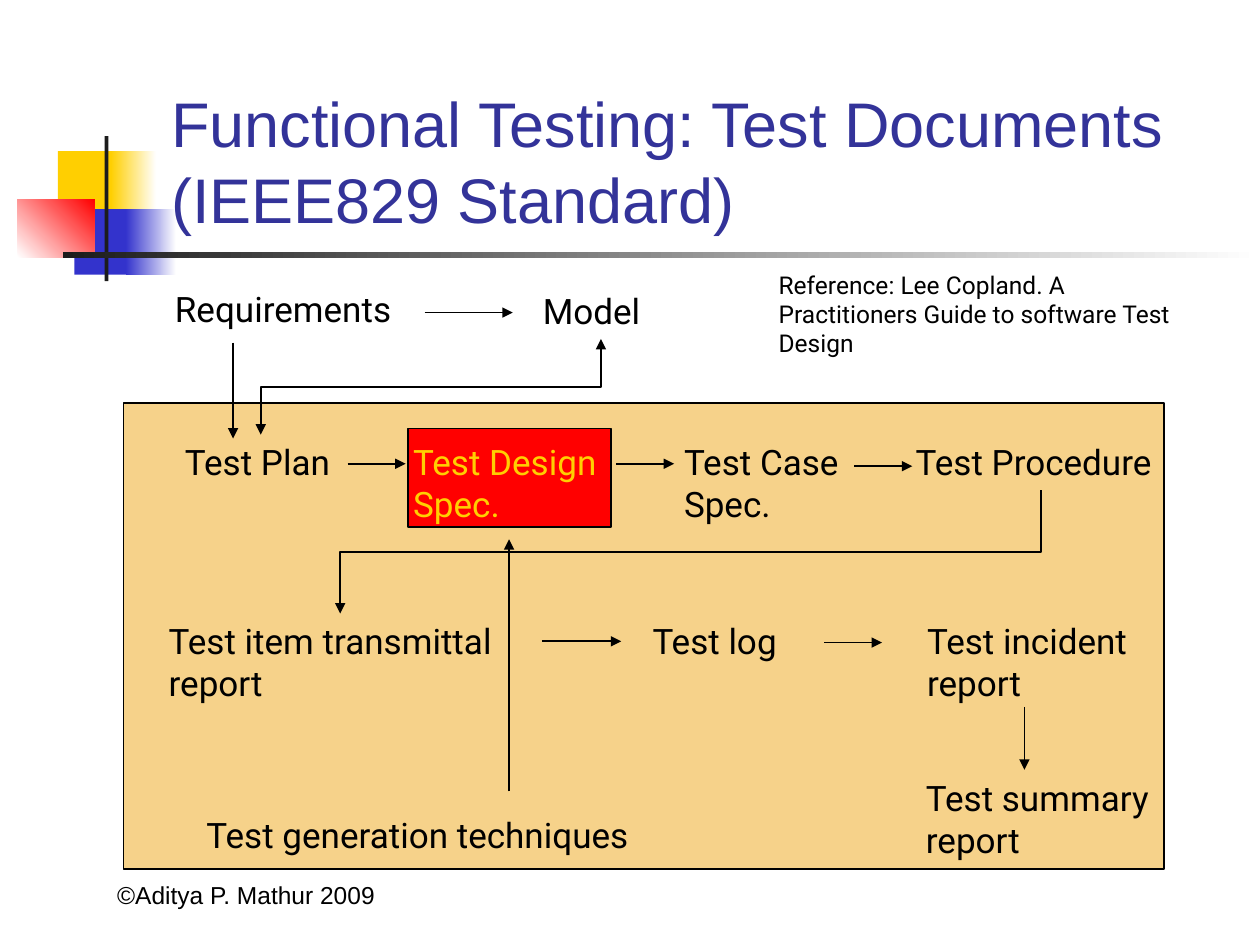
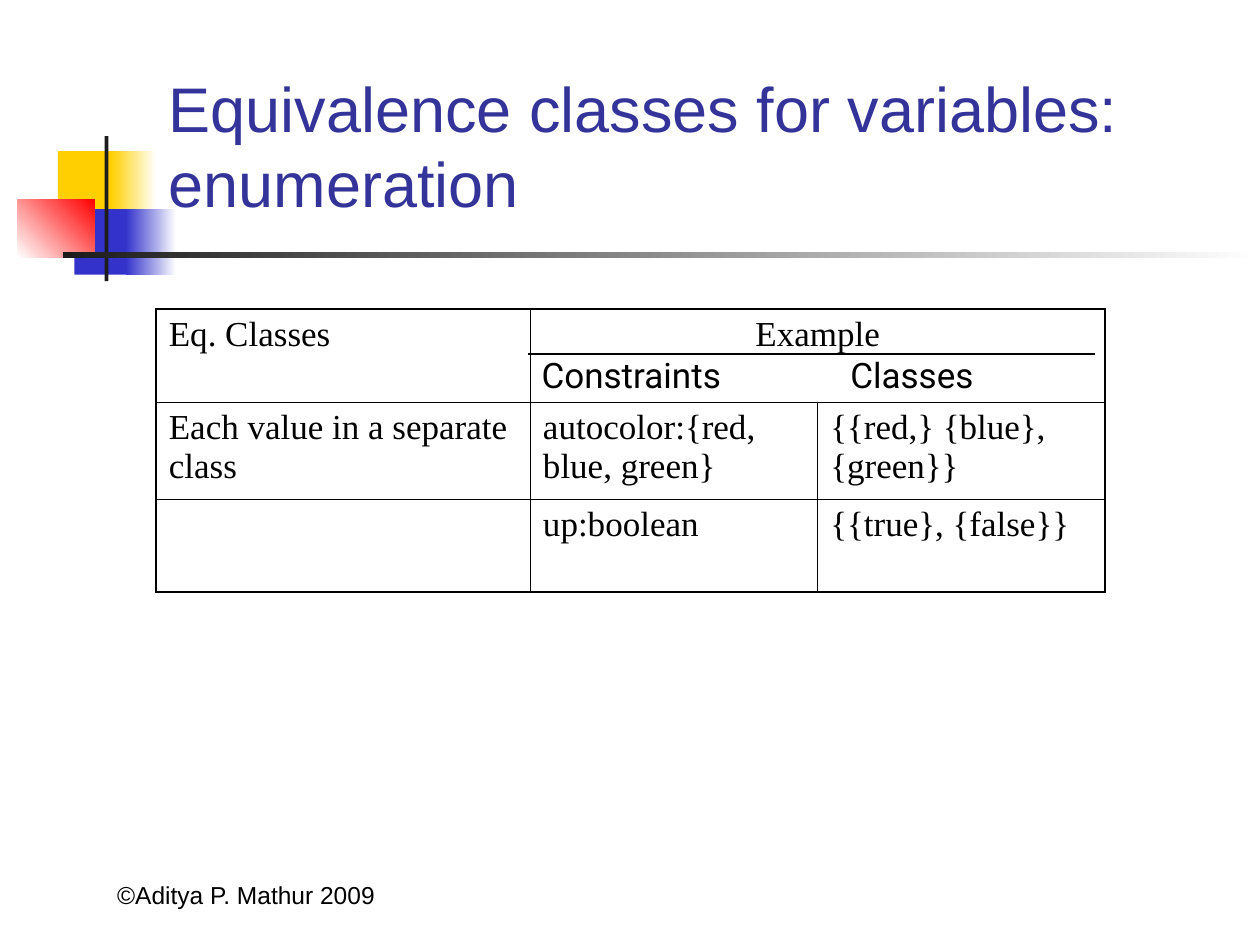
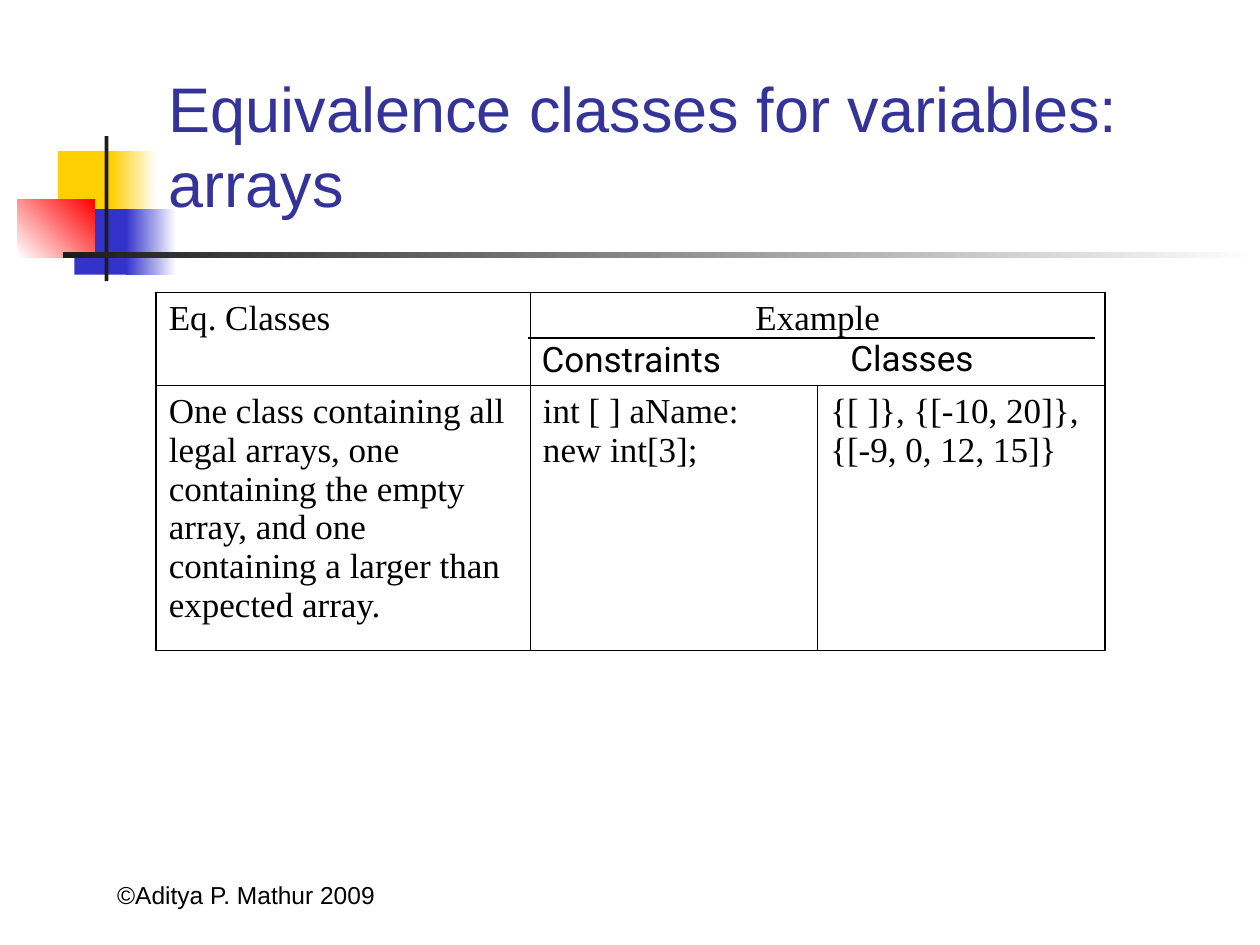
"""Builds three slides on functional test documents and equivalence classes."""
from lxml import etree
from pptx import Presentation
from pptx.dml.color import RGBColor
from pptx.enum.shapes import MSO_CONNECTOR, MSO_SHAPE
from pptx.enum.text import MSO_ANCHOR, MSO_AUTO_SIZE, PP_ALIGN
from pptx.oxml.ns import qn
from pptx.util import Pt

RECT = MSO_SHAPE.RECTANGLE
LINE, ELBOW = MSO_CONNECTOR.STRAIGHT, MSO_CONNECTOR.ELBOW
TOP, BOTTOM = MSO_ANCHOR.TOP, MSO_ANCHOR.BOTTOM
LEFT, CENTER = PP_ALIGN.LEFT, PP_ALIGN.CENTER
GROW, FIXED = MSO_AUTO_SIZE.SHAPE_TO_FIT_TEXT, MSO_AUTO_SIZE.NONE

BLACK = RGBColor(0, 0, 0)
WHITE = RGBColor(255, 255, 255)
YELLOW = RGBColor(0xFF, 0xCF, 0x01)
BLUE = RGBColor(0x33, 0x33, 0xCC)
NAVY = RGBColor(0x33, 0x33, 0x99)
RED = RGBColor(255, 0, 0)
DARK = RGBColor(0x1C, 0x1C, 0x1C)
SAND = RGBColor(0xEF, 0xA7, 0x17)

HEAD = {"name": "Arial", "size": Pt(36)}
FOOT = {"name": "Arial", "size": Pt(14)}
BODY = {"name": "Roboto", "size": Pt(20)}
NOTE = {"name": "Roboto", "size": Pt(14)}
CELL = {"name": "Times New Roman", "size": Pt(20)}

FOOTER = "©Aditya P. Mathur 2009"
DECOR = [
    ((33.1, 86.4, 34.6, 37.4), (YELLOW,), 0),
    ((63.4, 86.4, 25.9, 37.4), (YELLOW, WHITE), 0),
    ((42.5, 119.5, 33.1, 37.4), (BLUE,), 0),
    ((72, 119.5, 28.8, 37.4), (BLUE, WHITE), 0),
    ((10.1, 113.8, 43.9, 33.1), (WHITE, RED), 45),
    ((59.8, 77.8, 2.2, 82.8), (DARK,), 0),
    ((36, 144, 684, 3.6), (DARK, WHITE), 0),
]

FLOW_TITLE = "Functional Testing: Test Documents (IEEE829 Standard)"
SOURCE = "Reference: Lee Copland. A Practitioners Guide to software Test Design"
PANEL = (70.6, 230.4, 594.7, 266.4)
FOCUS = (233.3, 244.8, 115.9, 56.2)
STEPS = [
    ("Requirements", 92.9, 160.6, 146.9),
    ("Model", 303.1, 162, 81.4),
    ("Test Plan", 98.6, 248.4, 99.4),
    ("Test Design\nSpec.", 229, 248.4, 123.8),
    ("Test Case\nSpec.", 383.8, 248.4, 103.7),
    ("Test Procedure", 516.2, 248.4, 156.2),
    ("Test item transmittal\nreport", 89.3, 350.6, 210.2),
    ("Test log", 365.8, 350.6, 88.6),
    ("Test incident\nreport", 522.7, 350.6, 134.6),
    ("Test summary\nreport", 522, 439.9, 147.6),
    ("Test generation techniques", 110.9, 461.5, 271.4),
]
ARROWS = [
    (242.6, 178.6, 293, 178.6),
    (133.2, 195.8, 133.2, 250.6),
    (198.7, 265, 231.8, 265),
    (352.1, 265, 385.2, 265),
    (488.2, 266.4, 521.3, 266.4),
    (309.6, 366.5, 355, 366.5),
    (470.9, 367.2, 504, 367.2),
    (585.4, 403.9, 585.4, 439.9),
    (290.9, 452.2, 290.9, 308.2),
]
BENDS = [
    ((343.4, 193.7, 149, 248.4), ("headEnd", "tailEnd")),
    ((594.7, 280.1, 194.4, 350.6), ("tailEnd",)),
]

COLS = (213.8, 164.2, 164.2)
HEADER = ["Eq. Classes", "Example", ""]
GRIDS = [
    {
        "title": "Equivalence classes for variables: enumeration",
        "top": 176.4,
        "highs": (53.3, 55.4, 53.3),
        "rows": [
            ["Each value in a separate class", "autocolor:{red, blue, green}",
             "{{red,} {blue}, {green}}"],
            ["", "up:boolean", "{{true}, {false}}"],
        ],
    },
    {
        "title": "Equivalence classes for variables: arrays",
        "top": 167.2,
        "highs": (53.3, 151.2),
        "rows": [
            ["One class containing all legal arrays, one containing the empty "
             "array, and one containing a larger than expected array.",
             "int [ ] aName: new int[3];",
             "{[ ]}, {[-10, 20]}, {[-9, 0, 12, 15]}"],
        ],
    },
]


def style(frame, look, color, align=LEFT):
    for para in frame.paragraphs:
        para.alignment = align
        for key, value in look.items():
            setattr(para.font, key, value)
        para.font.color.rgb = color


def label(slide, text, box, look, color=BLACK, wrap=True, fit=GROW,
          anchor=TOP, align=LEFT):
    frame = slide.shapes.add_textbox(*map(Pt, box)).text_frame
    frame.text = text
    form = {"word_wrap": wrap, "auto_size": fit, "vertical_anchor": anchor}
    for key, value in form.items():
        setattr(frame, key, value)
    style(frame, look, color, align)
    return frame


def block(slide, box, colors, angle=0, edge=False):
    shape = slide.shapes.add_shape(RECT, *map(Pt, box))
    shape.shadow.inherit = False
    if len(colors) == 1:
        shape.fill.solid()
        shape.fill.fore_color.rgb = colors[0]
    else:
        shape.fill.gradient()
        shape.fill.gradient_angle = angle
        for stop, color in zip(shape.fill.gradient_stops, colors):
            stop.color.rgb = color
    if edge:
        shape.line.color.rgb = BLACK
        shape.line.width = Pt(1)
    else:
        shape.line.fill.background()
    return shape


def link(slide, ends, kind=LINE, tips=()):
    line = slide.shapes.add_connector(kind, *map(Pt, ends))
    line.line.color.rgb = BLACK
    line.line.width = Pt(1)
    props = line._element.spPr
    for tip in tips:
        etree.SubElement(props.find(qn("a:ln")), qn("a:" + tip), type="triangle")
    etree.SubElement(props, qn("a:effectLst"))
    return line


def bend(slide, ends, tips):
    x1, y1, x2, y2 = ends
    midx, midy = (x1 + x2) / 2, (y1 + y2) / 2
    wide, high = abs(y2 - y1) / 2, abs(x2 - x1) / 2
    turned = (midx - wide, midy - high, midx + wide, midy + high)
    line = link(slide, turned, ELBOW, tips)
    line._element.spPr.find(qn("a:xfrm")).set("rot", "5400000")


def border(cell, sides):
    props = cell._tc.get_or_add_tcPr()
    for side, outer in sides.items():
        width = Pt(1.08 if outer else 0.45)
        line = etree.SubElement(props, qn("a:ln" + side), w=str(width))
        fill = etree.SubElement(line, qn("a:solidFill"))
        etree.SubElement(fill, qn("a:srgbClr"), val=str(BLACK))


def start(deck, title, box):
    slide = deck.slides.add_slide(deck.slide_layouts[6])
    for place, colors, angle in DECOR:
        block(slide, place, colors, angle)
    label(slide, FOOTER, (26.6, 487.4, 228.2, 36), FOOT, fit=FIXED,
          anchor=BOTTOM, align=CENTER)
    frame = label(slide, title, box, HEAD, NAVY, fit=FIXED, anchor=BOTTOM)
    frame.paragraphs[0].line_spacing = Pt(43.4)
    return slide


def flow(deck):
    slide = start(deck, FLOW_TITLE, (90.7, 91.4, 613.4, 46.8))
    panel = block(slide, PANEL, (SAND,), edge=True)
    tint = panel._element.spPr.find(qn("a:solidFill"))[0]
    etree.SubElement(tint, qn("a:alpha"), val="50000")
    block(slide, FOCUS, (RED,), edge=True)
    for text, left, top, wide in STEPS:
        high = 55.4 if "\n" in text else 31.7
        color = YELLOW if "Design" in text else BLACK
        label(slide, text, (left, top, wide, high), BODY, color, wrap=False)
    label(slide, SOURCE, (437.8, 150.5, 257.8, 57.6), NOTE)
    for ends in ARROWS:
        link(slide, ends, tips=("tailEnd",))
    for ends, tips in BENDS:
        bend(slide, ends, tips)


def grid(deck, data):
    slide = start(deck, data["title"], (89.3, 78.5, 613.4, 51.1))
    top, highs = data["top"], data["highs"]
    rows = [HEADER] + data["rows"]
    place = (89.3, top, sum(COLS), sum(highs))
    table = slide.shapes.add_table(len(rows), len(COLS), *map(Pt, place)).table
    table.first_row = table.horz_banding = False
    for col, wide in zip(table.columns, COLS):
        col.width = Pt(wide)
    for row, high in zip(table.rows, highs):
        row.height = Pt(high)
    table.cell(0, 1).merge(table.cell(0, 2))
    for r, row in enumerate(rows):
        for c, text in enumerate(row):
            cell = table.cell(r, c)
            last = c == len(COLS) - 1 or cell.is_merge_origin
            border(cell, {"L": c == 0, "R": last, "T": r == 0,
                          "B": r == len(rows) - 1})
            cell.fill.background()
            if text:
                cell.text = text
                align = CENTER if cell.is_merge_origin else LEFT
                style(cell.text_frame, CELL, BLACK, align)
    link(slide, (301.7, top + 26, 625.7, top + 26))
    label(slide, "Constraints", (302.4, top + 22.3, 122.4, 31.7), BODY, wrap=False)
    label(slide, "Classes", (478.8, top + 21.8, 131, 31.7), BODY)


def main():
    deck = Presentation()
    deck.slide_width, deck.slide_height = Pt(720), Pt(540)
    flow(deck)
    for data in GRIDS:
        grid(deck, data)
    deck.save("out.pptx")


if __name__ == "__main__":
    main()
